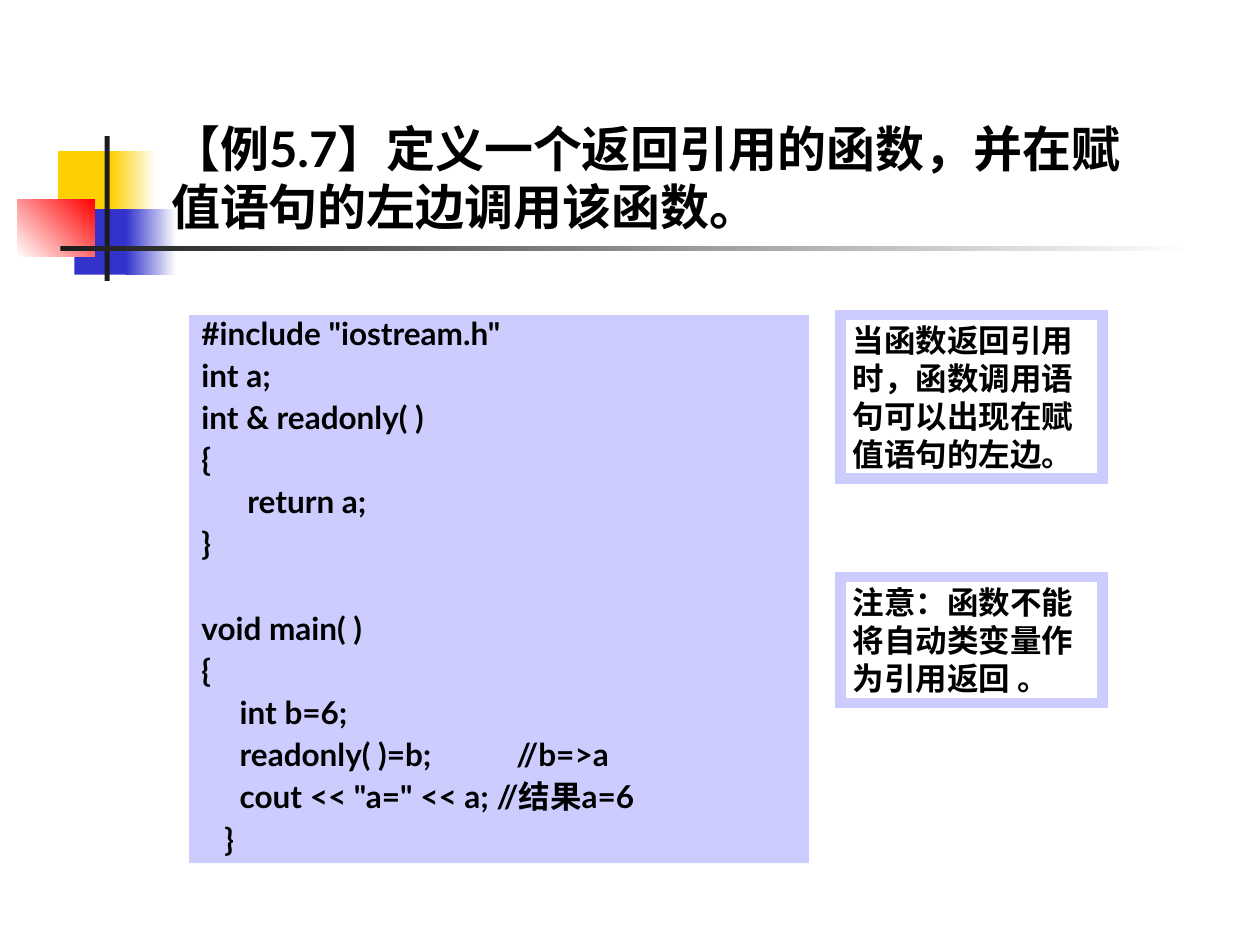
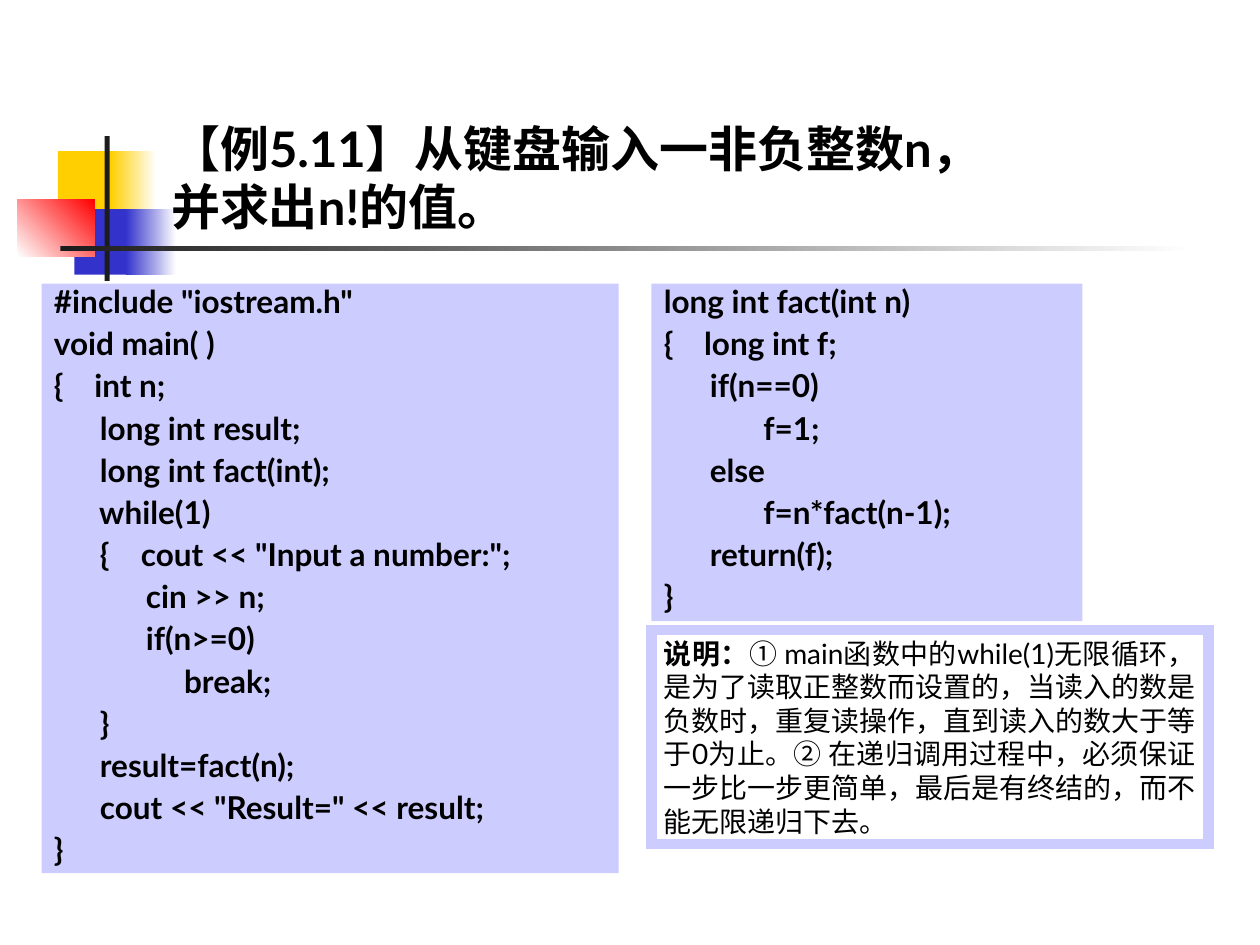
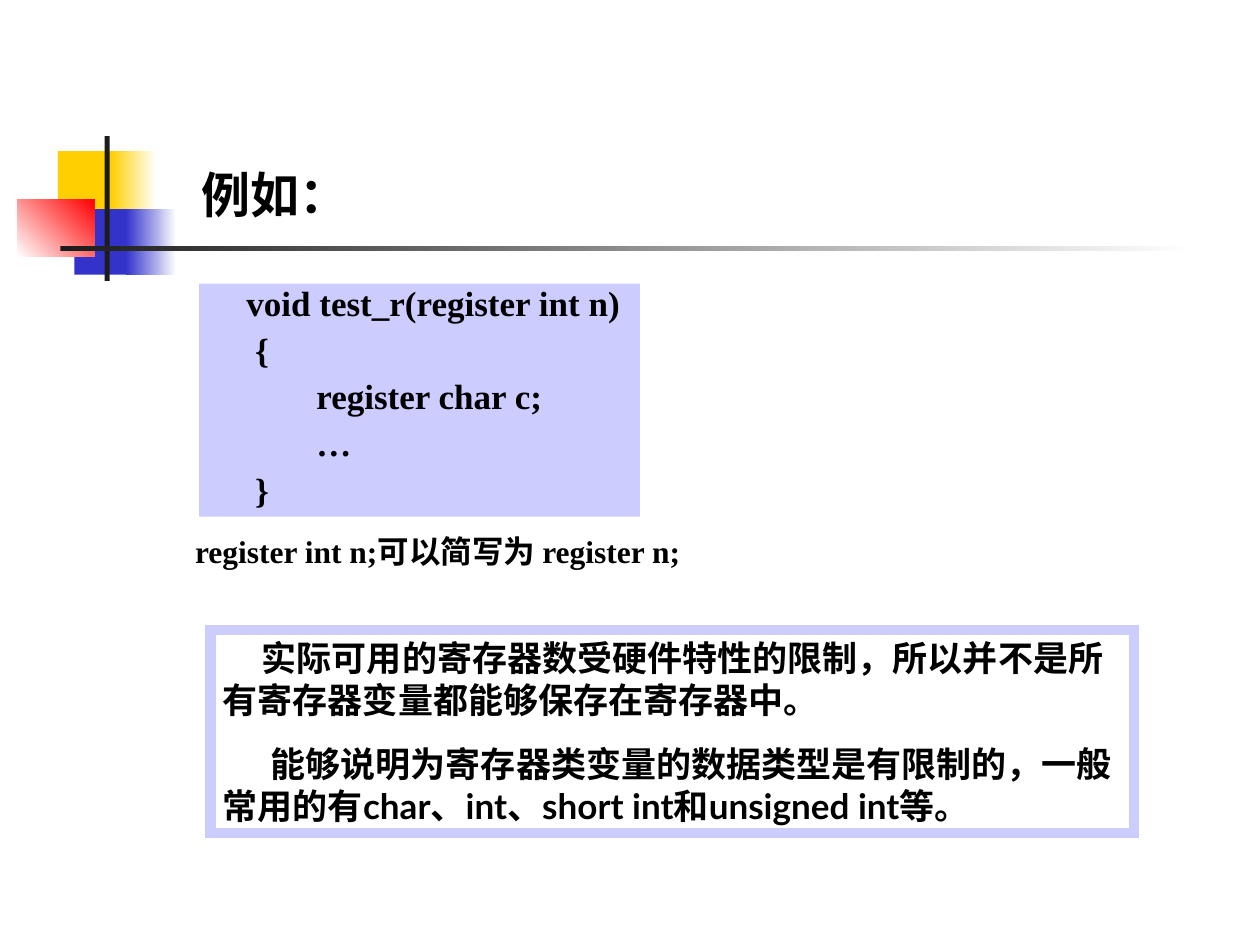
from lxml.etree import SubElement
from pptx import Presentation
from pptx.dml.color import RGBColor
from pptx.enum.shapes import MSO_SHAPE
from pptx.enum.text import MSO_ANCHOR, PP_ALIGN
from pptx.oxml.ns import qn
from pptx.util import Inches, Pt

# Shared palette and formats
BLACK, WHITE, LILAC = "000000", "FFFFFF", "CCCCFF"
GOLD, BLUE, RED, DARK = "FFCF01", "3333CC", "FF0000", "1C1C1C"
HAN = "Noto Sans CJK SC"
TABS = [0.32, 0.69, 2.5]

# Format keys: size, face, line (line height / size), gap (pt before)
TITLE = dict(size=28, face="Lato", line=1.2, gap=0, look="text", anchor=MSO_ANCHOR.BOTTOM)
CODE = dict(size=18, face="Lato", line=0.96, gap=6.8, look="fill", tabs=TABS)
NOTE = dict(size=18, face="Lato", line=1.2, gap=12.5, look="frame")
PLAIN = dict(size=18, face="Times New Roman", line=1.2, gap=0, look="text", wrap=False)

# Corner emblem and rule: place, colours from start to end, angle
MARKS = [
    ((0.46, 1.2, 0.48, 0.52), [GOLD], 0),
    ((0.88, 1.2, 0.36, 0.52), [GOLD, WHITE], 0),
    ((0.59, 1.66, 0.46, 0.52), [BLUE], 0),
    ((1, 1.66, 0.4, 0.52), [BLUE, WHITE], 0),
    ((0.14, 1.58, 0.61, 0.46), [WHITE, RED], 45),
    ((0.83, 1.08, 0.04, 1.15), [DARK], 0),
    ((0.48, 1.95, 9, 0.04), [DARK, WHITE], 0),
]

# Code listings
REF = """#include "iostream.h"
int a;
int & readonly( )
{
      return a;
}

void main( )
{
     int b=6;
     readonly( )=b;\t//b=>a
     cout << "a=" << a; //结果a=6
   }"""

MAIN = """#include "iostream.h"
void main( )
{\tint n;
      long int result;
      long int fact(int);
      while(1)
      {\tcout << "Input a number:";
            cin >> n;
            if(n>=0)
                 break;
      }
      result=fact(n);
      cout << "Result=" << result;
}"""

FACT = """long int fact(int n)
{\tlong int f;
      if(n==0)
             f=1;
      else
             f=n*fact(n-1);
      return(f);
}"""

REG = """    void test_r(register int n)
     {
            register char c;
            …
     }"""

# Slides: each a list of (place, text, format)
DECK = [
    [
        ((1.26, 0.67, 7.91, 1.25), "【例5.7】定义一个返回引用的函数，并在赋值语句的左边调用该函数。", TITLE),
        ((1.5, 2.5, 4.92, 4.35), REF, CODE),
        ((6.67, 2.5, 2.08, 1.3), "当函数返回引用时，函数调用语句可以出现在赋值语句的左边。", NOTE),
        ((6.67, 4.58, 2.08, 1), "注意：函数不能将自动类变量作为引用返回 。", NOTE),
    ],
    [
        ((1.26, 0.67, 6.82, 1.25), "【例5.11】从键盘输入一非负整数n，并求出n!的值。", TITLE),
        ((0.33, 2.25, 4.58, 4.68), MAIN, CODE),
        ((5.17, 2.25, 3.42, 2.68), FACT, CODE),
        ((5.17, 5, 4.42, 1.7),
         "说明：|① main函数中的while(1)无限循环，是为了读取正整数而设置的，"
         "当读入的数是负数时，重复读操作，直到读入的数大于等于0为止。"
         "② 在递归调用过程中，必须保证一步比一步更简单，最后是有终结的，而不能无限递归下去。",
         NOTE | dict(size=16, align=PP_ALIGN.JUSTIFY, lead="|")),
    ],
    [
        ((1.5, 1.25, 1.57, 0.57), "例如：", TITLE),
        ((1.58, 2.25, 3.5, 1.85), REG, CODE | dict(size=20, face="Times New Roman", gap=7.5)),
        ((1.45, 4.17, 4.19, 0.4), "register int n;可以简写为 register n;", PLAIN),
        ((1.67, 5, 7.33, 1.61),
         "实际可用的寄存器数受硬件特性的限制，所以并不是所有寄存器变量都能够保存在寄存器中。\n"
         "能够说明为寄存器类变量的数据类型是有限制的，一般常用的有"
         "char、int、short int和unsigned int等。",
         NOTE | dict(size=20, dents=[0.31, 0.38])),
    ],
]


def tint(code):
    return RGBColor.from_string(code)


def block(slide, place, text, form):
    spot = [Inches(v) for v in place]
    look, size = form["look"], form["size"]
    if look == "text":
        shape = slide.shapes.add_textbox(*spot)
    else:
        shape = slide.shapes.add_shape(MSO_SHAPE.RECTANGLE, *spot)
        shape.shadow.inherit = False
    if look == "fill":
        shape.fill.solid()
        shape.fill.fore_color.rgb = tint(LILAC)
        shape.line.fill.background()
    elif look == "frame":
        shape.fill.background()
        shape.line.color.rgb = tint(LILAC)
        shape.line.width = Pt(6)
        # Square corners
        SubElement(shape.line._get_or_add_ln(), qn("a:miter"), lim="800000")
    frame = shape.text_frame
    frame.word_wrap = form.get("wrap", True)
    frame.vertical_anchor = form.get("anchor", MSO_ANCHOR.TOP)

    # An empty code line becomes extra space before the next one
    skip, first = 0, True
    for n, row in enumerate(text.split("\n")):
        if not row:
            skip = form["gap"] + size * form["line"]
            continue
        para = frame.paragraphs[0] if first else frame.add_paragraph()
        look_of = dict(
            alignment=form.get("align", PP_ALIGN.LEFT),
            line_spacing=Pt(size * form["line"]),
            space_before=Pt(0 if first else form["gap"] + skip),
        )
        for key, val in look_of.items():
            setattr(para, key, val)
        props = para._p.get_or_add_pPr()
        props.set("hangingPunct", "0")
        if "dents" in form:
            props.set("indent", str(Inches(form["dents"][n])))
        if "tabs" in form and "\t" in row:
            stops = SubElement(props, qn("a:tabLst"))
            for stop in form["tabs"]:
                SubElement(stops, qn("a:tab"), pos=str(Inches(stop)), algn="l")
        parts = row.split(form["lead"]) if "lead" in form else [row]
        for i, part in enumerate(parts):
            run = para.add_run()
            run.text = part
            for key, val in dict(size=Pt(size), name=form["face"], bold=i == 0).items():
                setattr(run.font, key, val)
            run.font.color.rgb = tint(BLACK)
            SubElement(run._r.get_or_add_rPr(), qn("a:ea"), typeface=HAN)
        skip, first = 0, False


prs = Presentation()
prs.slide_width, prs.slide_height = Inches(10), Inches(7.5)

for parts in DECK:
    slide = prs.slides.add_slide(prs.slide_layouts[6])
    # Emblem and rule
    for place, tones, angle in MARKS:
        mark = slide.shapes.add_shape(MSO_SHAPE.RECTANGLE, *[Inches(v) for v in place])
        mark.shadow.inherit = False
        mark.line.fill.background()
        if len(tones) == 1:
            mark.fill.solid()
            mark.fill.fore_color.rgb = tint(tones[0])
        else:
            mark.fill.gradient()
            mark.fill.gradient_angle = angle
            for stop, tone in zip(mark.fill.gradient_stops, tones):
                stop.color.rgb = tint(tone)
    # Title, code and notes
    for place, text, form in parts:
        block(slide, place, text, form)

prs.save("out.pptx")
